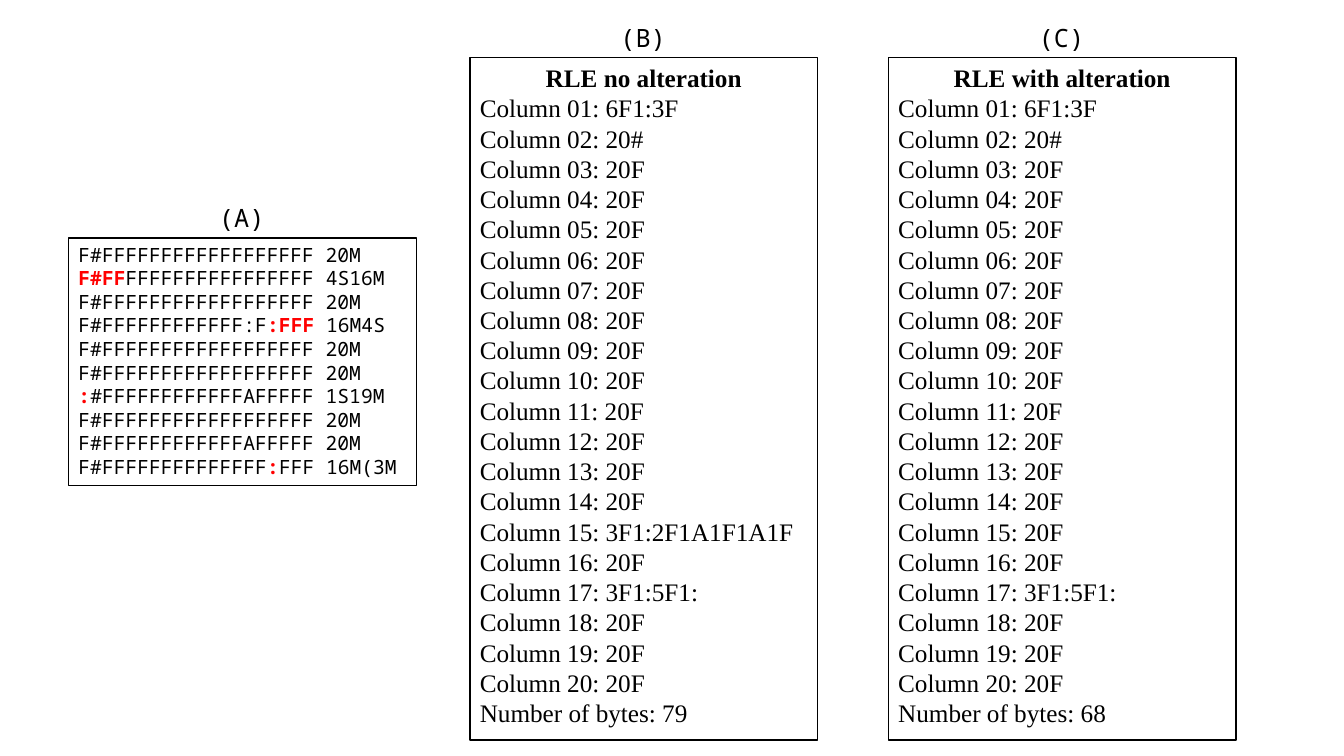
"""Build a slide comparing run-length encoding with and without alteration."""
from pptx import Presentation
from pptx.dml.color import RGBColor
from pptx.enum.shapes import MSO_SHAPE as Shape
from pptx.enum.text import MSO_ANCHOR as Anchor, MSO_AUTO_SIZE as AutoSize, PP_ALIGN as Align
from pptx.util import Inches, Pt

MATCH = "F#FFFFFFFFFFFFFFFFFF 20M"
# Each read alternates plain and highlighted segments.
READS = [
    (MATCH,),
    ("", "F#FF", "FFFFFFFFFFFFFFFF 4S16M"),
    (MATCH,),
    ("F#FFFFFFFFFFFF:F", ":FFF", " 16M4S"),
    (MATCH,),
    (MATCH,),
    ("", ":", "#FFFFFFFFFFFFAFFFFF 1S19M"),
    (MATCH,),
    ("F#FFFFFFFFFFFFAFFFFF 20M",),
    ("F#FFFFFFFFFFFFFF", ":", "FFF 16M(3M"),
]
COLUMN_COUNT = 20
COMMON_CODE = "20F"
SHARED_CODES = {1: "6F1:3F", 2: "20#", 17: "3F1:5F1:"}
ENCODINGS = [
    ("(B)", "RLE no alteration", SHARED_CODES | {15: "3F1:2F1A1F1A1F"}, 79),
    ("(C)", "RLE with alteration", SHARED_CODES, 68),
]

BLACK = RGBColor(0, 0, 0)
WHITE = RGBColor(255, 255, 255)
RED = RGBColor(255, 0, 0)
MONO, SERIF = "Noto Sans Mono", "Times New Roman"

PANEL_LEFT, PANEL_PITCH, PANEL_WIDTH = 0.68, 4.15, 3.45
READS_TOP, READS_HEIGHT = 2.36, 2.46
CODES_TOP, CODES_HEIGHT = 0.57, 6.77
LABEL_WIDTH, LABEL_HEIGHT, LABEL_RISE = 0.66, 0.4, 0.4


def write_lines(frame, lines, font_name, size):
    """Write one paragraph per line, with every second segment highlighted."""
    frame.auto_size = AutoSize.NONE
    frame.vertical_anchor = Anchor.TOP
    for row, segments in enumerate(lines):
        paragraph = frame.add_paragraph() if row else frame.paragraphs[0]
        paragraph.alignment = Align.LEFT
        paragraph.font.name = font_name
        paragraph.font.size = Pt(size)
        paragraph.font.color.rgb = BLACK
        for position, segment in enumerate(segments):
            if not segment:
                continue
            run = paragraph.add_run()
            run.text = segment
            if position % 2:
                run.font.bold = True
                run.font.color.rgb = RED


def add_panel(slide, column, label, top, height, lines, font_name, size):
    """Add a labelled, outlined panel and return its text frame."""
    left = PANEL_LEFT + column * PANEL_PITCH - (0.17 if column == 1 else 0.17 if column == 2 else 0)
    panel = slide.shapes.add_shape(
        Shape.RECTANGLE, Inches(left), Inches(top), Inches(PANEL_WIDTH), Inches(height))
    panel.shadow.inherit = False
    panel.fill.solid()
    panel.fill.fore_color.rgb = WHITE
    panel.line.color.rgb = BLACK
    panel.line.width = Pt(1)
    panel.text_frame.word_wrap = True
    write_lines(panel.text_frame, lines, font_name, size)

    label_left = left + (PANEL_WIDTH - LABEL_WIDTH) / 2
    caption = slide.shapes.add_textbox(
        Inches(label_left), Inches(top - LABEL_RISE), Inches(LABEL_WIDTH), Inches(LABEL_HEIGHT))
    caption.text_frame.word_wrap = False
    write_lines(caption.text_frame, [(label,)], MONO, 18)
    return panel.text_frame


def main():
    """Compose and save the slide."""
    deck = Presentation()
    deck.slide_width, deck.slide_height = Inches(13.33), Inches(7.5)
    slide = deck.slides.add_slide(deck.slide_layouts[6])

    add_panel(slide, 0, "(A)", READS_TOP, READS_HEIGHT, READS, MONO, 14)
    for column, (label, title, codes, byte_count) in enumerate(ENCODINGS, start=1):
        lines = [(title,)]
        lines += [(f"Column {number:02}: {codes.get(number, COMMON_CODE)}",)
                  for number in range(1, COLUMN_COUNT + 1)]
        lines.append((f"Number of bytes: {byte_count}",))
        frame = add_panel(slide, column, label, CODES_TOP, CODES_HEIGHT, lines, SERIF, 18)
        heading = frame.paragraphs[0]
        heading.alignment = Align.CENTER
        heading.font.bold = True

    deck.save("out.pptx")


if __name__ == "__main__":
    main()
